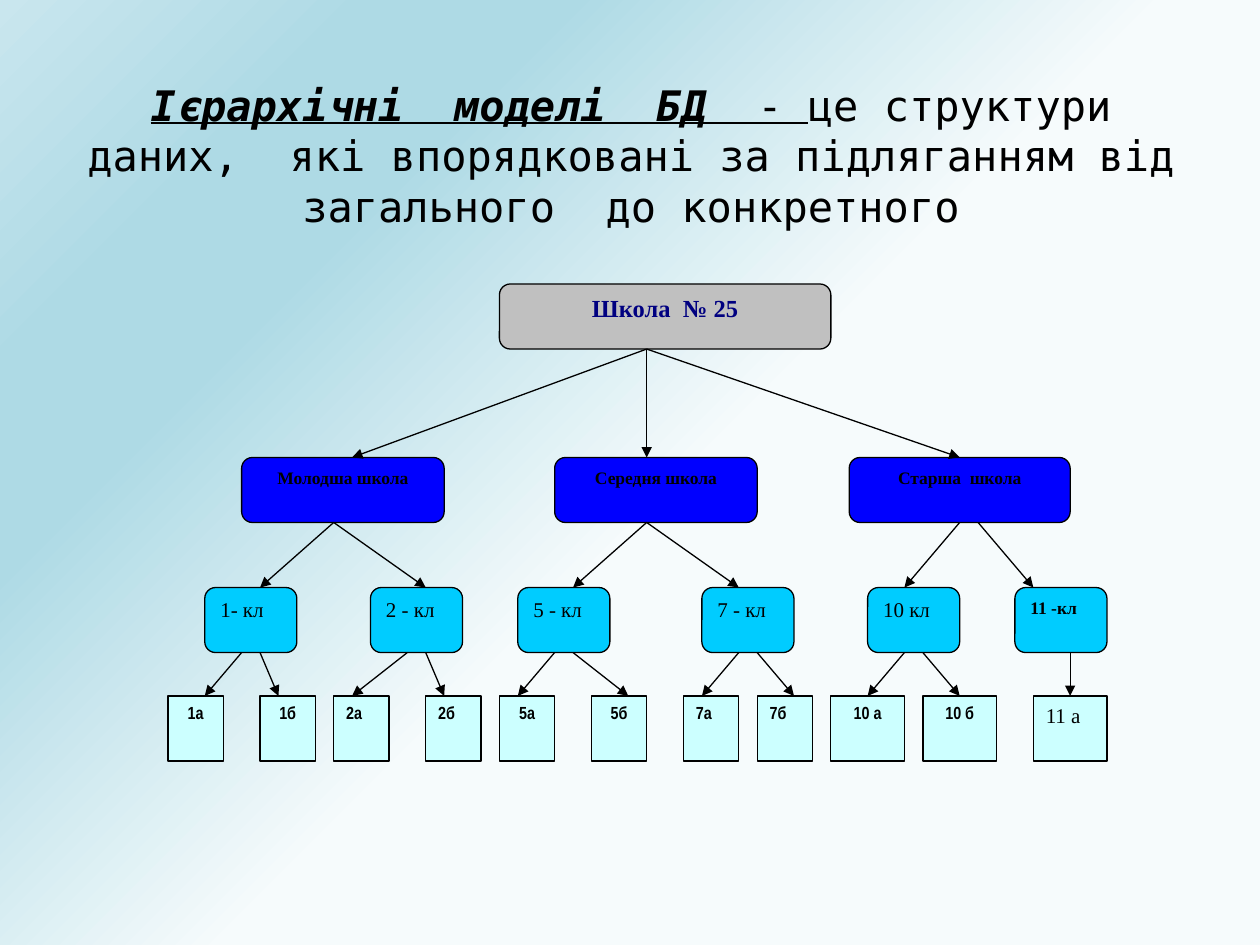
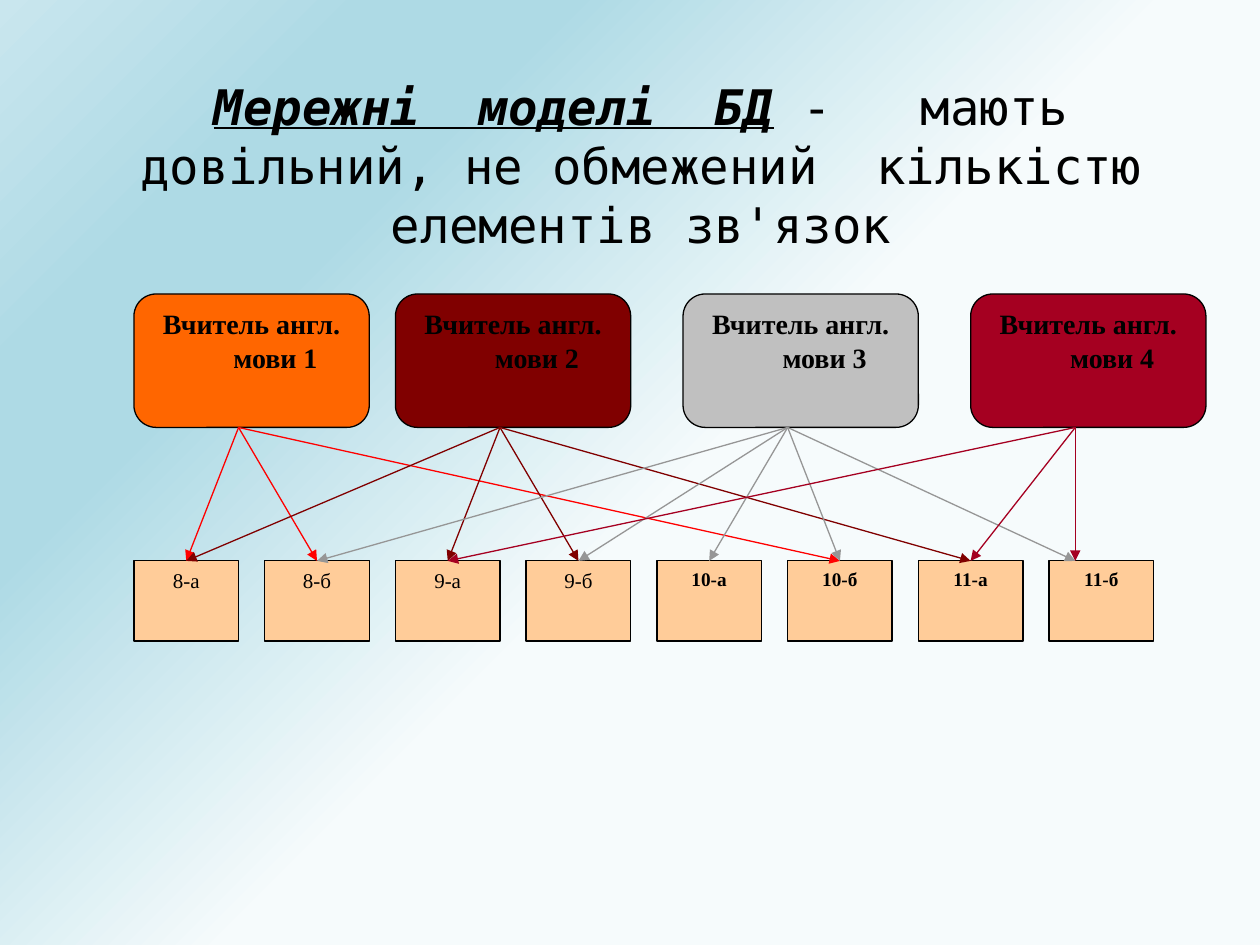
from copy import deepcopy

from lxml.etree import SubElement
from pptx import Presentation
from pptx.dml.color import RGBColor
from pptx.enum.shapes import MSO_CONNECTOR, MSO_SHAPE
from pptx.enum.text import MSO_ANCHOR, PP_ALIGN
from pptx.oxml.ns import qn
from pptx.util import Inches, Pt

SCALE = 914400 / 126
BLACK = "000000"
STOPS = [(0.47, "F6FBFC"), (0.74, "AEDAE5"), (0.83, "AEDAE5"), (1, "C9E6EE")]

# Text formats
HEAD = {"name": "DejaVu Sans Mono", "bold": False, "italic": False, "underline": False}
TERM = HEAD | {"bold": True, "italic": True, "underline": True}
DASH = HEAD | {"underline": True}
PLAIN = {"name": "Times New Roman", "size": Pt(12), "bold": False}
BOLD = PLAIN | {"size": Pt(10), "bold": True}
CLASS = BOLD | {"size": Pt(11)}
ROOT = BOLD | {"size": Pt(14)}
STAFF = BOLD | {"size": Pt(16)}
LEAF = BOLD | {"name": "Arial Narrow"}

# Box kinds
ROUND = MSO_SHAPE.ROUNDED_RECTANGLE
RECT = MSO_SHAPE.RECTANGLE
ALT = MSO_SHAPE.FLOWCHART_ALTERNATE_PROCESS
LEFT, MID = PP_ALIGN.LEFT, PP_ALIGN.CENTER


def px(num):
    return round(num * SCALE)


def tint(code):
    return RGBColor.from_string(code)


def style(font, look, color=BLACK):
    for key, val in look.items():
        setattr(font, key, val)
    font.color.rgb = tint(color)


def paint(master):
    """Diagonal gradient shared by all slides."""
    fill = master.background.fill
    fill.gradient()
    fill.gradient_angle = 135
    row = master.element.find(".//" + qn("a:gsLst"))
    while len(row) < len(STOPS):
        row.append(deepcopy(row[0]))
    for stop, (pos, code) in zip(fill.gradient_stops, STOPS):
        stop.position = pos
        stop.color.rgb = tint(code)


def title(slide, left, top, size, parts):
    head = slide.shapes.title
    spot = {"left": left, "top": top, "width": 1134, "height": 158}
    for key, val in spot.items():
        setattr(head, key, px(val))
    head.text_frame.vertical_anchor = MSO_ANCHOR.MIDDLE
    para = head.text_frame.paragraphs[0]
    para.alignment = MID
    for text, look in parts:
        run = para.add_run()
        run.text = text
        style(run.font, look | {"size": Pt(size)})


class Grid:
    """Places boxes and arrows by cell inside a box given in px."""

    def __init__(self, slide, box, cols, rows):
        self.shapes = slide.shapes
        self.left, self.top, wide, high = box
        self.dx, self.dy = wide / cols, high / rows

    def spot(self, col, row):
        return px(self.left + col * self.dx), px(self.top + row * self.dy)

    def node(self, kind, cell, text, fill, look, align=MID, color=BLACK):
        col, row, wide, high = cell
        node = self.shapes.add_shape(
            kind, *self.spot(col, row), px(wide * self.dx), px(high * self.dy))
        node.shadow.inherit = False
        node.fill.solid()
        node.fill.fore_color.rgb = tint(fill)
        node.line.color.rgb = tint(BLACK)
        node.line.width = Pt(0.75)
        frame = node.text_frame
        frame.word_wrap = True
        frame.vertical_anchor = MSO_ANCHOR.TOP
        para = frame.paragraphs[0]
        para.alignment = align
        para.space_before = Pt(look["size"].pt * 0.2)
        # Hanging indent
        props = para._p.get_or_add_pPr()
        props.set("marL", str(Inches(0.38)))
        props.set("indent", str(-Inches(0.38)))
        run = para.add_run()
        run.text = text
        style(run.font, look, color)

    def arrow(self, start, end, color=BLACK):
        link = self.shapes.add_connector(
            MSO_CONNECTOR.STRAIGHT, *self.spot(*start), *self.spot(*end))
        link.line.color.rgb = tint(color)
        link.line.width = Pt(0.75)
        SubElement(link.line._get_or_add_ln(), qn("a:tailEnd"), type="triangle")
        SubElement(link._element.spPr, qn("a:effectLst"))


def tree(slide, box):
    """School, stages, years and classes as a hierarchy."""
    grid = Grid(slide, box, 51, 22)
    # School
    grid.node(ROUND, (18, 0, 18, 3), "Школа  № 25", "C0C0C0", ROOT, color="000080")
    # Stages
    stages = [("Молодша школа", 4, 11), ("Середня школа", 21, 11), ("Старша  школа", 37, 12)]
    for text, col, wide in stages:
        grid.node(ALT, (col, 8, wide, 3), text, "0000FF", BOLD)
    # Years
    years = [("1- кл", 2), ("2 - кл", 11), ("5 - кл", 19),
             ("7 - кл", 29), ("10 кл", 38), ("11 -кл", 46)]
    for text, col in years:
        look = BOLD if text == "11 -кл" else PLAIN
        grid.node(ROUND, (col, 14, 5, 3), text, "00CCFF", look, LEFT)
    # Classes
    leaves = [("1а", 0, MID), ("1б", 5, MID), ("2а", 9, LEFT), ("2б", 14, LEFT),
              ("5а", 18, MID), ("5б", 23, MID), ("7а", 28, LEFT), ("7б", 32, LEFT),
              ("10 а", 36, MID), ("10 б", 41, MID), ("11 а", 47, LEFT)]
    for text, col, align in leaves:
        look = PLAIN if text == "11 а" else LEAF
        grid.node(RECT, (col, 19, len(text) if len(text) > 2 else 3, 3),
                  text, "CCFFFF", look, align)
    # Arrows between levels
    levels = [
        (3, 8, [(26, 10), (26, 43), (26, 26)]),
        (11, 14, [(9, 5), (9, 14), (26, 22), (26, 31), (43, 40), (44, 47)]),
        (17, 19, [(4, 2), (5, 6), (13, 10), (14, 15), (21, 19), (22, 25),
                  (31, 29), (32, 34), (40, 38), (41, 43), (49, 49)]),
    ]
    for top, low, links in levels:
        for start, end in links:
            grid.arrow((start, top), (end, low))


def net(slide, box):
    """Teachers linked to the classes they teach."""
    grid = Grid(slide, box, 41, 13)
    # Classes
    names = ["8-а", "8-б", "9-а", "9-б", "10-а", "10-б", "11-а", "11-б"]
    for num, text in enumerate(names):
        look = PLAIN if len(text) == 3 else CLASS
        grid.node(RECT, (5 * num, 10, 4, 3), text, "FFCC99", look)
    # Teachers: column, fill, arrow colour, classes
    staff = [(0, "FF6600", "FF0000", [0, 1, 5]),
             (10, "800000", "800000", [0, 2, 3, 6]),
             (21, "C0C0C0", "969696", [1, 3, 4, 5, 7]),
             (32, "A50021", "A50021", [6, 7, 2])]
    for num, (col, fill, color, taught) in enumerate(staff, 1):
        grid.node(ROUND, (col, 0, 9, 5), f"Вчитель англ. мови {num}", fill, STAFF)
        for item in taught:
            # The last class is reached one cell to the left
            end = 36 if item == 7 else 5 * item + 2
            grid.arrow((col + 4, 5), (end, 10), color)


def main():
    deck = Presentation()
    deck.slide_width, deck.slide_height = px(1260), px(945)
    paint(deck.slide_master)
    plan = deck.slide_layouts[5]

    slide = deck.slides.add_slide(plan)
    title(slide, 64, 76, 24, [
        ("Ієрархічні  моделі  БД", TERM),
        ("  ", TERM | {"italic": False}),
        ("- ", DASH),
        ("це структури даних,  які впорядковані за підляганням "
         "від загального  до конкретного", HEAD)])
    tree(slide, (168, 284, 939, 477))

    slide = deck.slides.add_slide(plan)
    title(slide, 74, 86, 28, [
        ("Мережні  моделі  БД", TERM),
        (" -   мають довільний, не обмежений  кількістю елементів зв'язок", HEAD)])
    net(slide, (134, 294, 1072, 347))

    deck.save("out.pptx")


if __name__ == "__main__":
    main()
